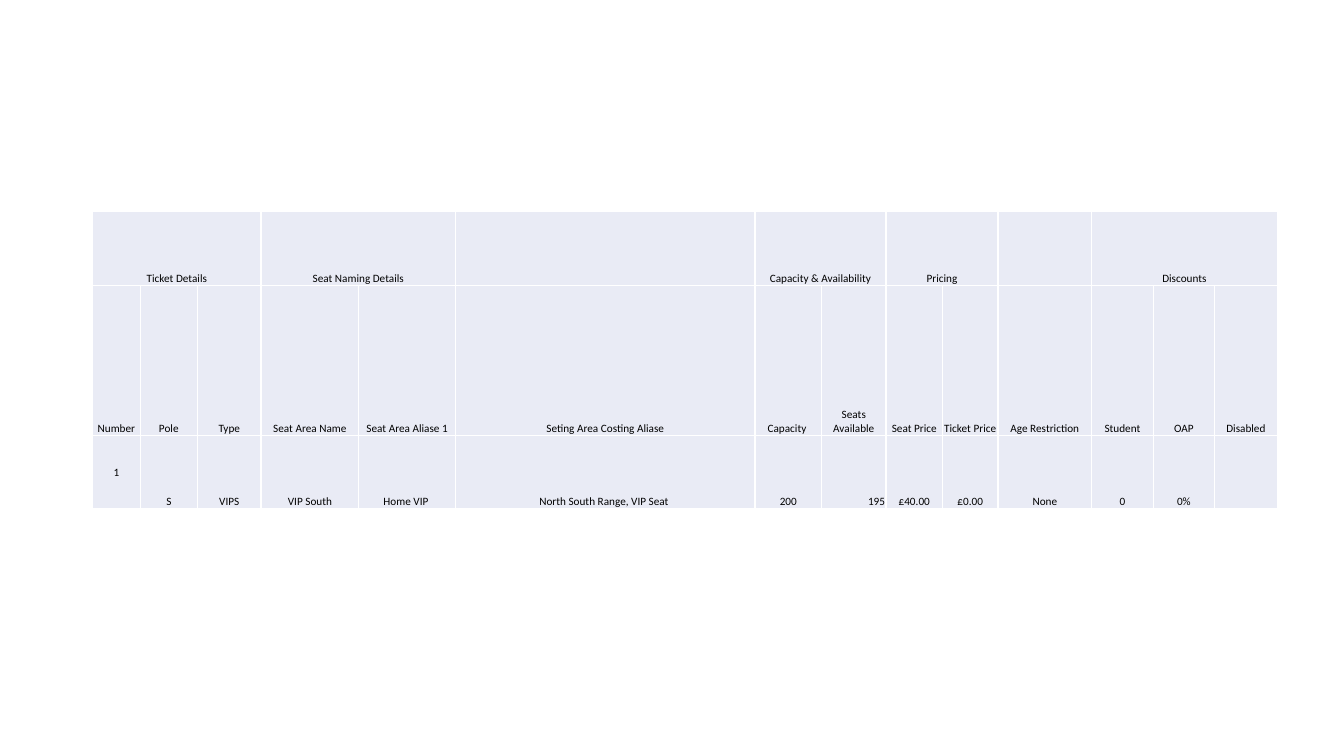
from dataclasses import dataclass

from lxml import etree
from pptx import Presentation
from pptx.dml.color import RGBColor
from pptx.enum.text import MSO_ANCHOR, PP_ALIGN
from pptx.oxml.ns import qn
from pptx.util import Inches, Pt

CENTER, RIGHT = PP_ALIGN.CENTER, PP_ALIGN.RIGHT
MIDDLE, BOTTOM = MSO_ANCHOR.MIDDLE, MSO_ANCHOR.BOTTOM
BLANK_LAYOUT = 6
UNITS_PER_INCH = 100  # fine grid: 1333 columns by 750 rows
SLIDE_COLUMNS, SLIDE_ROWS = 1333, 750


@dataclass(frozen=True)
class Theme:
    """Colours, type and line sizes of the slide."""
    font: str = "Calibri"
    size: float = 8
    ink: str = "000000"
    cell: str = "E9EBF5"
    border: str = "FFFFFF"
    border_width: float = 1
    inset: float = 1


# Heading group, then its columns: grid width, heading, ticket value
TICKET_GROUPS = [
    ("Ticket Details", [(47, "Number", "1"), (57, "Pole", "S"),
                        (63, "Type", "VIPS")]),
    ("Seat Naming Details", [(97, "Seat Area Name", "VIP South"),
                             (96, "Seat Area Aliase 1", "Home VIP ")]),
    ("", [(297, "Seting Area Costing Aliase", "North South Range, VIP Seat ")]),
    ("Capacity & Availability", [(66, "Capacity ", "200"),
                                 (64, "Seats Available", "195")]),
    ("Pricing", [(56, "Seat Price", "£40.00"), (55, "Ticket Price", "£0.00")]),
    ("", [(93, "Age Restriction", "None")]),
    ("Discounts", [(61, "Student", "0"), (61, "OAP", "0%"),
                   (62, "Disabled", "")]),
]
ROW_HEIGHTS = [73, 149, 73]
TABLE_LEFT, TABLE_TOP = 92, 210


def grid(units):
    """Convert grid columns or rows to a length."""
    return Inches(units / UNITS_PER_INCH)


class SlideBuilder:
    """Draws styled elements on the current slide."""

    def __init__(self, deck, theme):
        """Add a blank slide and keep its theme."""
        self.theme = theme
        self.slide = deck.slides.add_slide(deck.slide_layouts[BLANK_LAYOUT])

    def table(self, left, top, widths, heights):
        """Add a table without banding, sized by grid widths and heights."""
        frame = self.slide.shapes.add_table(
            len(heights), len(widths), grid(left), grid(top),
            grid(sum(widths)), grid(sum(heights)))
        table = frame.table
        table.first_row = table.horz_banding = False
        for column, width in zip(table.columns, widths):
            column.width = grid(width)
        for row, height in zip(table.rows, heights):
            row.height = grid(height)
        for cell in table.iter_cells():
            self.style_cell(cell)
        return table

    def style_cell(self, cell):
        """Fill a cell and rule its four sides."""
        cell.fill.solid()
        cell.fill.fore_color.rgb = RGBColor.from_string(self.theme.cell)
        cell.margin_left = cell.margin_right = grid(self.theme.inset)
        cell.margin_top, cell.margin_bottom = grid(self.theme.inset), 0
        properties = cell._tc.get_or_add_tcPr()
        for position, side in enumerate(("lnL", "lnR", "lnT", "lnB")):
            line = etree.Element(qn(f"a:{side}"),
                                 w=str(Pt(self.theme.border_width)))
            paint = etree.SubElement(line, qn("a:solidFill"))
            etree.SubElement(paint, qn("a:srgbClr"), val=self.theme.border)
            properties.insert(position, line)

    def cell_text(self, cell, text, align=CENTER, anchor=BOTTOM):
        """Write one styled paragraph in a cell, if there is text."""
        if not text:
            return
        cell.text = text
        cell.vertical_anchor = anchor
        paragraph = cell.text_frame.paragraphs[0]
        paragraph.alignment = align
        paragraph.font.name = self.theme.font
        paragraph.font.size = Pt(self.theme.size)
        paragraph.font.color.rgb = RGBColor.from_string(self.theme.ink)


def draw_tickets(builder):
    """Draw the ticket table with its grouped headings."""
    fields = [field for _, group in TICKET_GROUPS for field in group]
    tickets = builder.table(TABLE_LEFT, TABLE_TOP,
                            [width for width, _, _ in fields], ROW_HEIGHTS)
    first = 0
    for title, group in TICKET_GROUPS:
        heading = tickets.cell(0, first)
        if len(group) > 1:
            heading.merge(tickets.cell(0, first + len(group) - 1))
        builder.cell_text(heading, title)
        first += len(group)
    for column, (_, label, value) in enumerate(fields):
        builder.cell_text(tickets.cell(1, column), label)
        builder.cell_text(tickets.cell(2, column), value,
                          RIGHT if label == "Seats Available" else CENTER,
                          MIDDLE if label == "Number" else BOTTOM)


def main():
    """Build and save the slide."""
    deck = Presentation()
    deck.slide_width, deck.slide_height = grid(SLIDE_COLUMNS), grid(SLIDE_ROWS)
    draw_tickets(SlideBuilder(deck, Theme()))
    deck.save("out.pptx")


main()
